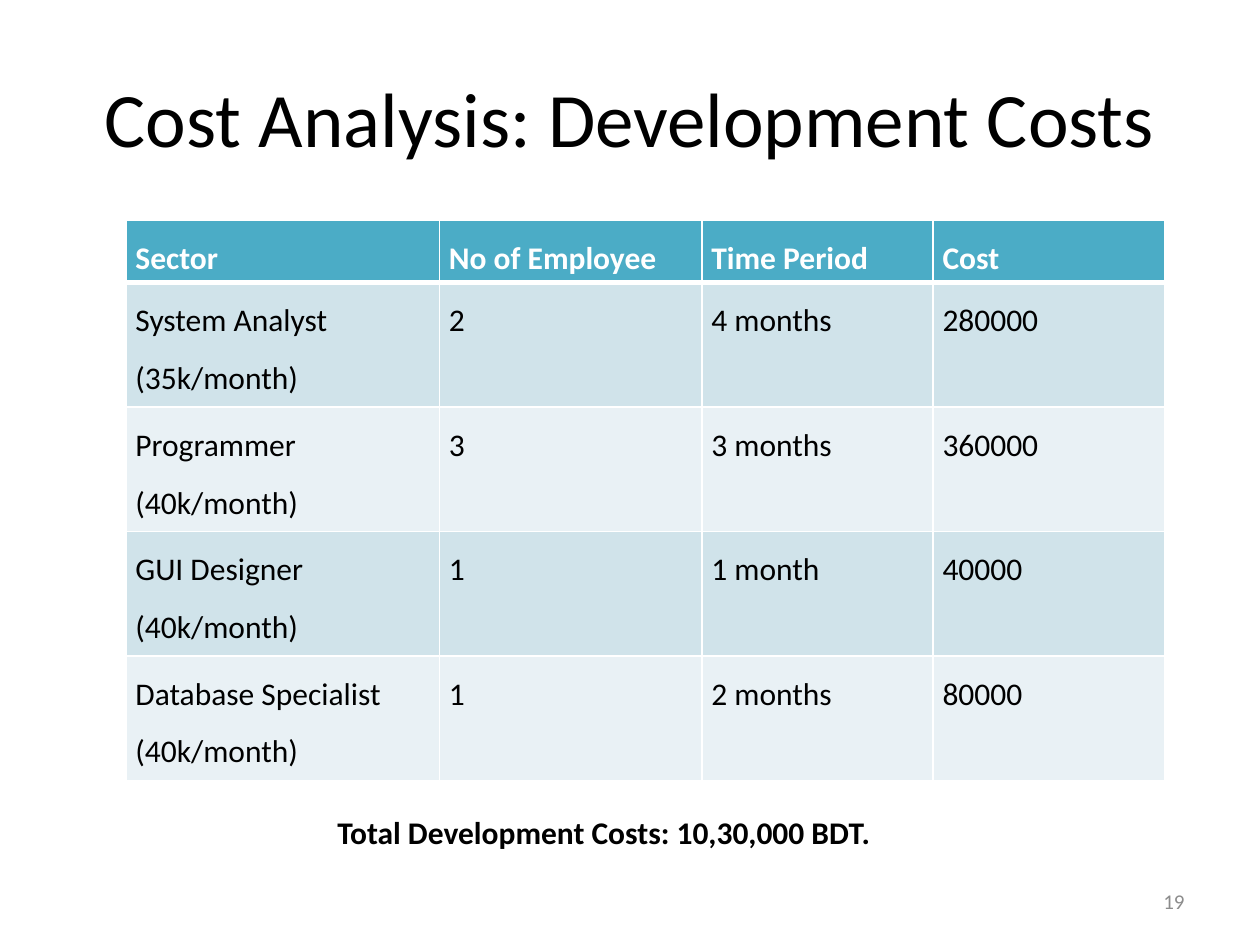
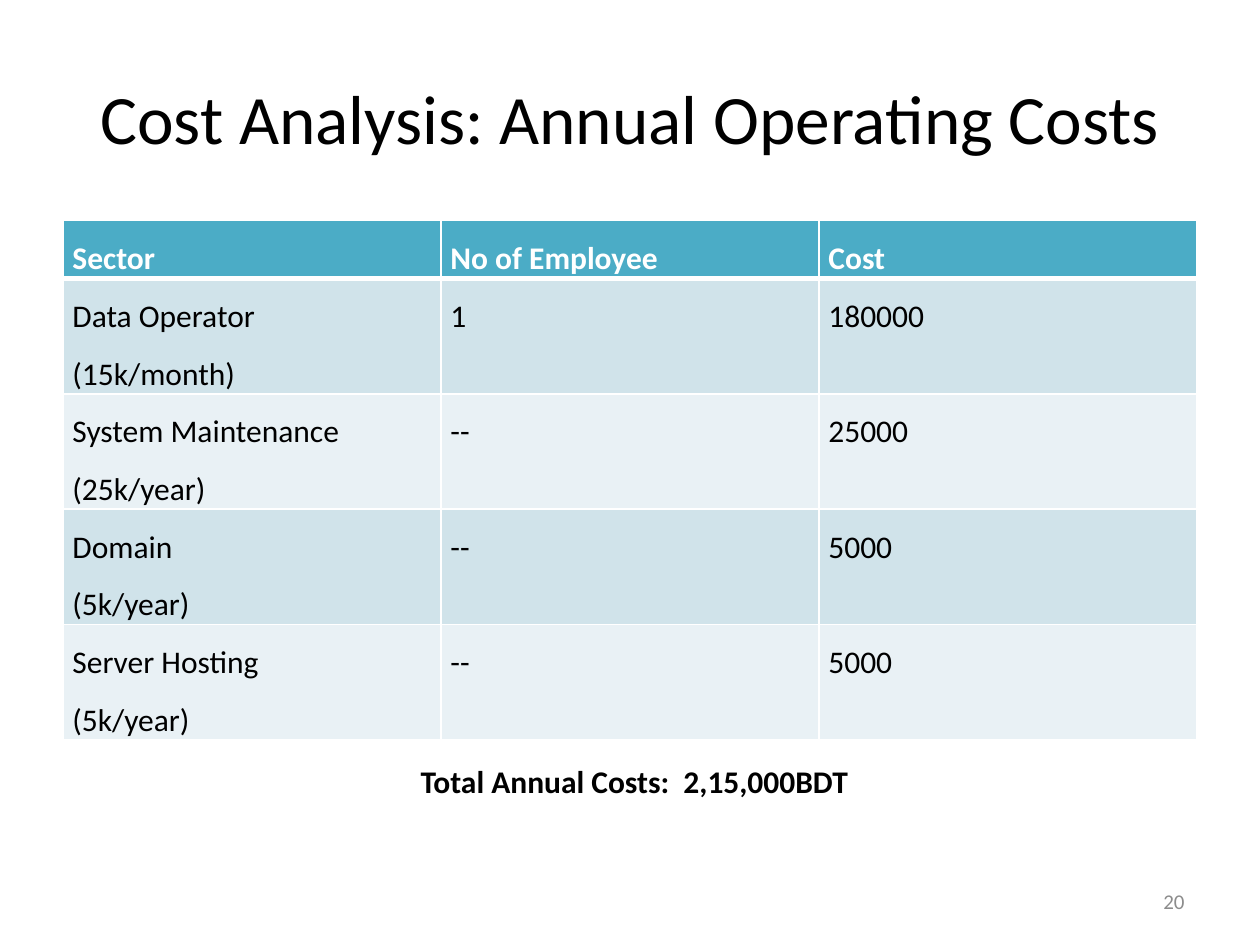
from lxml import etree
from pptx import Presentation
from pptx.dml.color import RGBColor
from pptx.enum.text import MSO_ANCHOR, MSO_AUTO_SIZE, PP_ALIGN
from pptx.oxml.ns import qn
from pptx.util import Cm, Pt

LEFT, CENTER, RIGHT = PP_ALIGN.LEFT, PP_ALIGN.CENTER, PP_ALIGN.RIGHT
TOP, MIDDLE = MSO_ANCHOR.TOP, MSO_ANCHOR.MIDDLE
NO_AUTOFIT = MSO_AUTO_SIZE.NONE
TITLE_ONLY = 5

BLACK, WHITE, GRAY = "000000", "FFFFFF", "8C8C8C"
HEADER_FILL = "4BACC6"
BAND_FILLS = ("D0E3EA", "E9F1F5")
THIN, THICK = Pt(1), Pt(3)

TITLE_AREA = (1.27, 0.76, 22.86, 3.18)
NUMBER_AREA = (18.21, 17.65, 5.92, 1.02)
TABLE_TOP = 4.45
TOTAL_HEIGHT = 1.02

TITLE_FORMAT = {"name": "Calibri", "bold": False}
HEADER_FORMAT = {"name": "Calibri", "size": Pt(18), "bold": True}
BODY_FORMAT = {"name": "Calibri", "size": Pt(18), "bold": False}
NUMBER_FORMAT = {"name": "Calibri", "size": Pt(12), "bold": False}
CELL_FORMAT = {"margin_left": Cm(0.19), "margin_right": Cm(0.19),
               "margin_top": 0, "margin_bottom": 0, "vertical_anchor": TOP}

SLIDES = [
    {
        "title": "Cost Analysis: Development Costs",
        "title_size": 44,
        "number": "19",
        "table_left": 2.54,
        "column_widths": (6.32, 5.29, 4.66, 4.66),
        "row_heights": (1.25, 2.51),
        "rows": [
            ("Sector", "No of Employee", "Time Period", "Cost"),
            ("System Analyst\n(35k/month)", "2", "4 months", "280000"),
            ("Programmer\n(40k/month)", "3", "3 months", "360000"),
            ("GUI Designer\n(40k/month)", "1", "1 month", "40000"),
            ("Database Specialist\n(40k/month)", "1", "2 months", "80000"),
        ],
        "total": "Total Development Costs: 10,30,000 BDT.",
        "total_place": (6.55, 16.26, 11.35),
    },
    {
        "title": "Cost Analysis: Annual Operating Costs",
        "title_size": 39.6,
        "number": "20",
        "table_left": 1.27,
        "column_widths": (7.62, 7.62, 7.62),
        "row_heights": (1.16, 2.32),
        "rows": [
            ("Sector", "No of Employee", "Cost"),
            ("Data Operator\n(15k/month)", "1", "180000"),
            ("System Maintenance\n(25k/year)", "--", "25000"),
            ("Domain\n(5k/year)", "--", "5000"),
            ("Server Hosting\n(5k/year)", "--", "5000"),
        ],
        "total": "Total Annual Costs:  2,15,000BDT",
        "total_place": (8.23, 15.24, 9.22),
    },
]


def color(hex_value):
    return RGBColor.from_string(hex_value)


def set_attributes(target, values):
    for name, value in values.items():
        setattr(target, name, value)


def write(frame, text, font_format, font_color, align=LEFT, spacing=None):
    frame.text = text
    for para in frame.paragraphs:
        set_attributes(para, {"alignment": align, "line_spacing": spacing})
        for span in para.runs:
            set_attributes(span.font, font_format)
            span.font.color.rgb = color(font_color)


def add_border(cell, side, width):
    properties = cell._tc.get_or_add_tcPr()
    line = etree.SubElement(properties, qn(f"a:ln{side}"), w=str(width))
    fill = etree.SubElement(line, qn("a:solidFill"))
    etree.SubElement(fill, qn("a:srgbClr"), val=WHITE)


def add_title(page, content):
    title = page.shapes.title
    for name, value in zip(("left", "top", "width", "height"), TITLE_AREA):
        setattr(title, name, Cm(value))
    frame = title.text_frame
    set_attributes(frame, {"word_wrap": True, "auto_size": NO_AUTOFIT, "vertical_anchor": MIDDLE})
    write(frame, content["title"], {**TITLE_FORMAT, "size": Pt(content["title_size"])}, BLACK, CENTER)


def add_text(page, area, text, font_format, font_color, align, anchor, wrap):
    box = page.shapes.add_textbox(*map(Cm, area))
    set_attributes(box.text_frame, {"word_wrap": wrap, "vertical_anchor": anchor})
    write(box.text_frame, text, font_format, font_color, align)


def style_cell(cell, text, row_index):
    is_header = row_index == 0
    borders = {"L": THIN, "R": THIN,
               "T": THICK if row_index == 1 else THIN,
               "B": THICK if is_header else THIN}
    for side, width in borders.items():
        add_border(cell, side, width)
    set_attributes(cell, CELL_FORMAT)
    cell.fill.solid()
    cell.fill.fore_color.rgb = color(HEADER_FILL if is_header else BAND_FILLS[(row_index - 1) % 2])
    write(cell.text_frame, text, HEADER_FORMAT if is_header else BODY_FORMAT,
          WHITE if is_header else BLACK, spacing=1.5)


def add_cost_table(page, content):
    rows, widths = content["rows"], content["column_widths"]
    header_height, body_height = content["row_heights"]
    heights = [header_height] + [body_height] * (len(rows) - 1)
    area = (content["table_left"], TABLE_TOP, sum(widths), sum(heights))
    table = page.shapes.add_table(len(rows), len(widths), *map(Cm, area)).table
    table.horz_banding = False
    for column, width in zip(table.columns, widths):
        column.width = Cm(width)
    for row_index, (row, height, texts) in enumerate(zip(table.rows, heights, rows)):
        row.height = Cm(height)
        for cell, text in zip(row.cells, texts):
            style_cell(cell, text, row_index)


def main():
    deck = Presentation()
    deck.slide_width, deck.slide_height = Cm(25.4), Cm(19.05)
    for content in SLIDES:
        page = deck.slides.add_slide(deck.slide_layouts[TITLE_ONLY])
        add_title(page, content)
        add_cost_table(page, content)
        add_text(page, NUMBER_AREA, content["number"], NUMBER_FORMAT, GRAY, RIGHT, MIDDLE, True)
        add_text(page, (*content["total_place"], TOTAL_HEIGHT), content["total"],
                 HEADER_FORMAT, BLACK, LEFT, TOP, False)
    deck.save("out.pptx")


if __name__ == "__main__":
    main()
